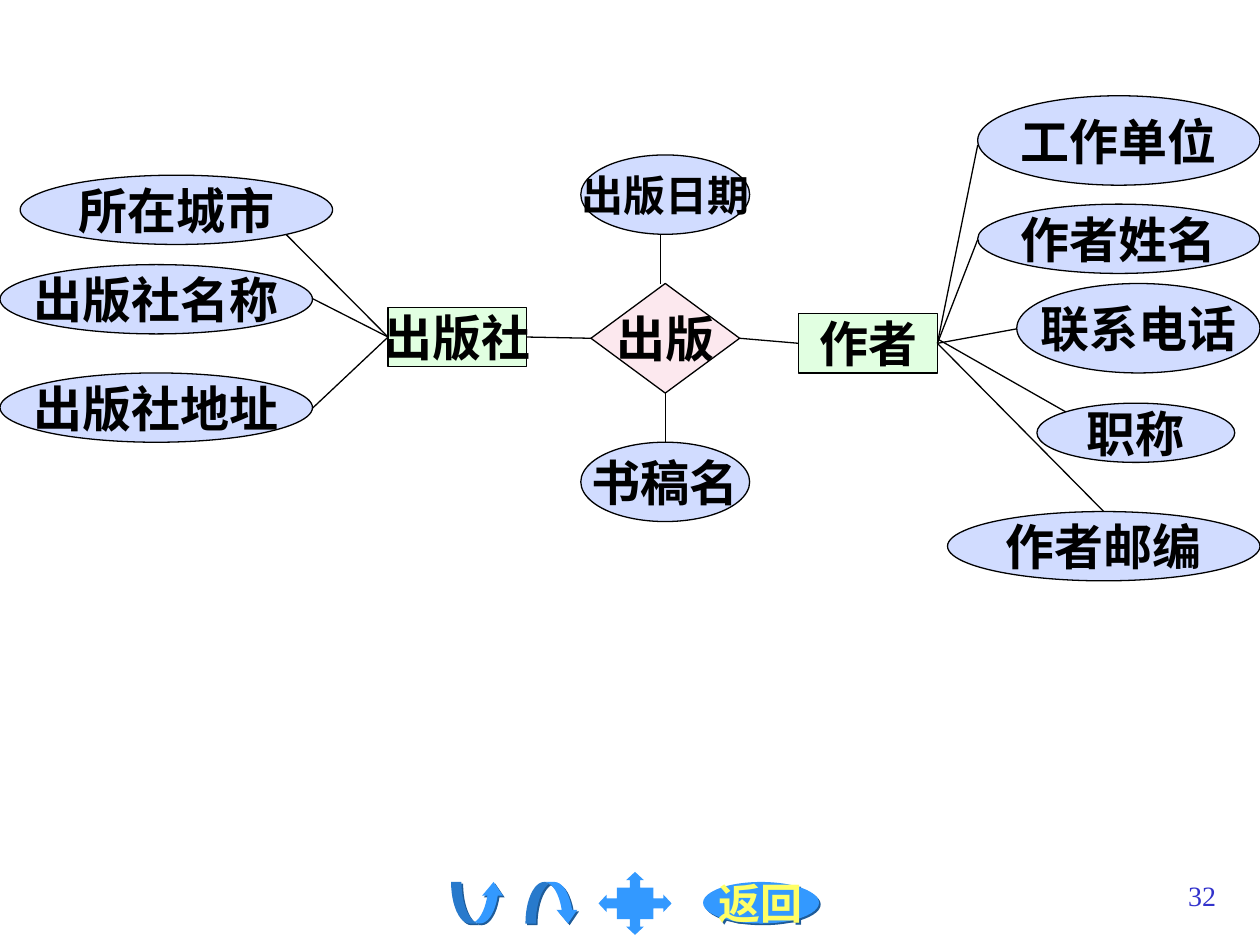
from lxml import etree
from pptx import Presentation
from pptx.dml.color import RGBColor
from pptx.enum.shapes import MSO_CONNECTOR, MSO_SHAPE
from pptx.enum.text import MSO_ANCHOR, PP_ALIGN
from pptx.oxml import parse_xml
from pptx.oxml.ns import qn
from pptx.util import Inches, Pt

BLACK = RGBColor(0x00, 0x00, 0x00)
GREEN = RGBColor(0xE1, 0xFF, 0xE1)
LILAC = RGBColor(0xD1, 0xDC, 0xFF)
PINK = RGBColor(0xFC, 0xE8, 0xEE)
BLUE = RGBColor(0x33, 0x99, 0xFF)
YELLOW = RGBColor(0xFF, 0xFF, 0x66)
NAVY = RGBColor(0x33, 0x33, 0xCC)
SHADOW = (
    '<a:effectLst xmlns:a="http://schemas.openxmlformats.org/drawingml/2006/main">'
    '<a:outerShdw dist="17780" dir="2700000" algn="ctr" rotWithShape="0">'
    '<a:srgbClr val="1E5B98"/></a:outerShdw></a:effectLst>'
)

prs = Presentation()
prs.slide_width, prs.slide_height = Inches(10), Inches(7.5)
slide = prs.slides.add_slide(prs.slide_layouts[6])


def add_node(kind, box, fill, text="", size=28, font="Comic Neue", ink=BLACK, edge=True):
    node = slide.shapes.add_shape(kind, *[Inches(v) for v in box])
    node.shadow.inherit = False
    node.fill.solid()
    node.fill.fore_color.rgb = fill
    if edge:
        node.line.color.rgb = BLACK
        node.line.width = Pt(0.75)
    else:
        node.line.fill.background()
    if text:
        frame = node.text_frame
        frame.word_wrap = False
        frame.vertical_anchor = MSO_ANCHOR.MIDDLE
        para = frame.paragraphs[0]
        para.text = text
        para.alignment = PP_ALIGN.CENTER
        para.font.size, para.font.name = Pt(size), font
        para.font.bold = True
        para.font.color.rgb = ink
    return node


def add_link(start, end):
    link = slide.shapes.add_connector(
        MSO_CONNECTOR.STRAIGHT, *[Inches(v) for v in start + end])
    link.line.color.rgb = BLACK
    link.line.width = Pt(0.75)
    etree.SubElement(link._element.spPr, qn("a:effectLst"))
    return link


# Navigation buttons
up = add_node(MSO_SHAPE.CURVED_UP_ARROW, (3.58, 7, 0.42, 0.33), BLUE, edge=False)
down = add_node(MSO_SHAPE.CURVED_DOWN_ARROW, (4.17, 7, 0.42, 0.33), BLUE, edge=False)
for arrow in (up, down):
    arrow.adjustments[2] = 0.33
back = add_node(MSO_SHAPE.OVAL, (5.58, 7, 0.92, 0.33), BLUE, "返回", 24,
                "Times New Roman", YELLOW, False)
for button in (up, down, back):
    props = button._element.spPr
    props.replace(props.find(qn("a:effectLst")), parse_xml(SHADOW))
cross = add_node(MSO_SHAPE.QUAD_ARROW_CALLOUT, (4.75, 6.92, 0.58, 0.5), BLUE, edge=False)
for i, ratio in enumerate((0.16, 0.14, 0.13, 0.5)):
    cross.adjustments[i] = ratio

# Entities and relationship
press = add_node(MSO_SHAPE.RECTANGLE, (3.08, 2.44, 1.1, 0.47), GREEN, "出版社")
bond = add_node(MSO_SHAPE.DIAMOND, (4.69, 2.25, 1.18, 0.87), PINK, "出版")
author = add_node(MSO_SHAPE.RECTANGLE, (6.34, 2.49, 1.1, 0.47), GREEN, "作者")

# Links between them
for left, right in ((press, bond), (bond, author)):
    link = add_link((0, 0), (1, 1))
    link.begin_connect(left, 3)
    link.end_connect(right, 1)

# Links from a side of an entity to its attributes
for node, side, ends in (
    (press, 1, ((2.27, 1.86), (2.48, 2.37), (2.48, 3.24))),
    (author, 3, ((7.76, 1.15), (7.76, 1.9), (8.07, 2.61), (8.76, 4.06))),
    (bond, 2, ((5.28, 3.51),)),
):
    for end in ends:
        add_link((0, 0), end).begin_connect(node, side)
add_link((7.44, 2.69), (8.46, 3.27))
add_link((5.24, 1.86), (5.24, 2.25))

# Attributes
for text, size, *box in (
    ("所在城市", 28, 0.16, 1.39, 2.48, 0.55),
    ("出版社名称", 28, 0, 2.1, 2.48, 0.55),
    ("出版社地址", 28, 0, 2.96, 2.48, 0.55),
    ("出版日期", 24, 4.61, 1.23, 1.34, 0.63),
    ("书稿名", 28, 4.61, 3.51, 1.34, 0.63),
    ("工作单位", 28, 7.76, 0.76, 2.24, 0.71),
    ("作者姓名", 28, 7.76, 1.62, 2.24, 0.55),
    ("联系电话", 28, 8.07, 2.25, 1.93, 0.71),
    ("职称", 28, 8.23, 3.2, 1.57, 0.47),
    ("作者邮编", 28, 7.52, 4.06, 2.48, 0.55),
):
    add_node(MSO_SHAPE.OVAL, box, LILAC, text, size)

# Page number
page = slide.shapes.add_textbox(Inches(7.67), Inches(6.92), Inches(2.08), Inches(0.5))
page.text_frame.word_wrap = True
para = page.text_frame.paragraphs[0]
para.text = "32"
para.alignment = PP_ALIGN.RIGHT
para.font.size, para.font.name = Pt(16), "Times New Roman"
para.font.color.rgb = NAVY

prs.save("out.pptx")
